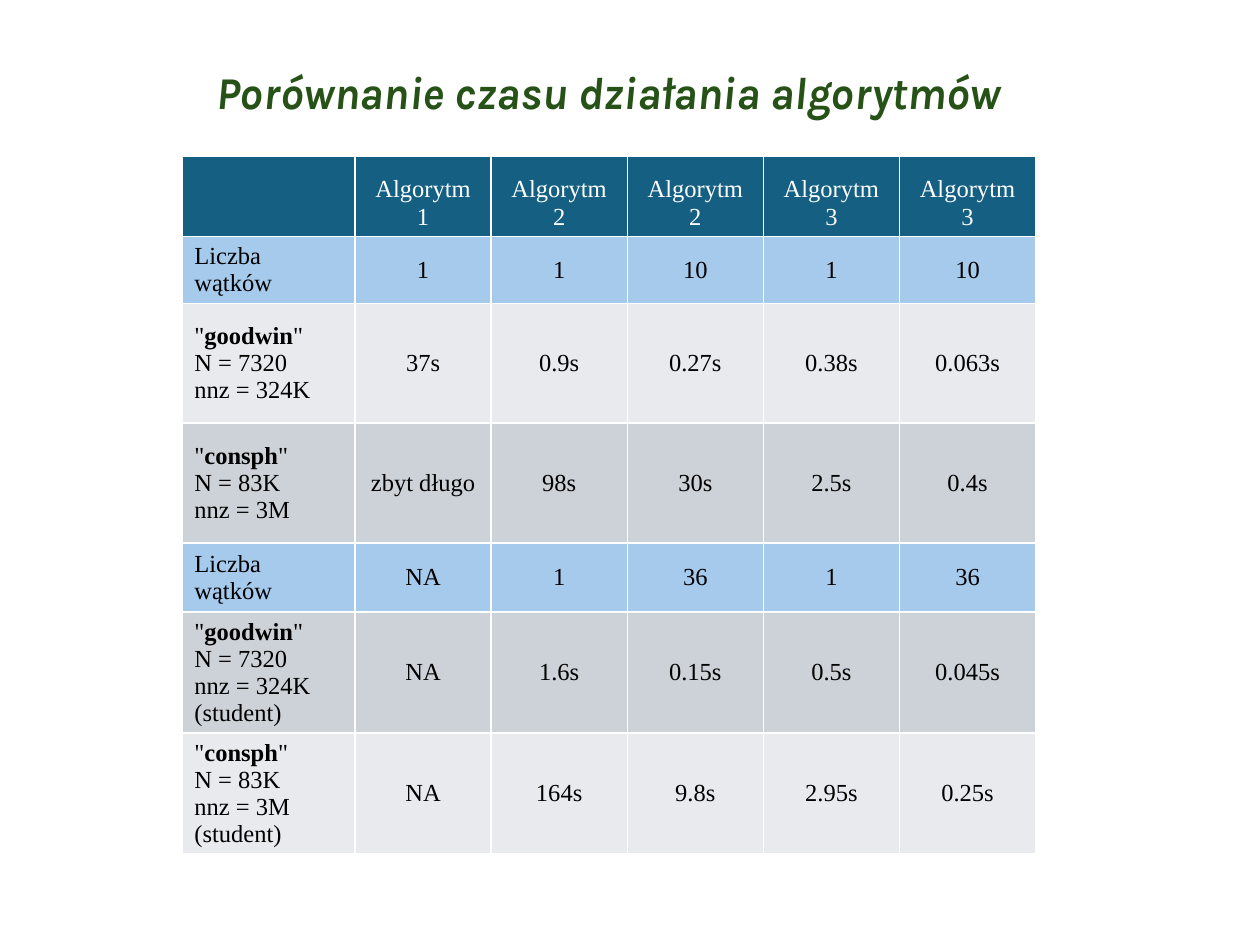
import pptx
import pptx.dml.color
import pptx.enum.text
import pptx.util

Pt = pptx.util.Pt
ALIGN = pptx.enum.text.PP_ALIGN
ANCHOR = pptx.enum.text.MSO_ANCHOR

COLOURS = {
    "title": "265217",
    "header": "156082",
    "threads": "A6CAEC",
    "light": "E8EAED",
    "dark": "CCD2D8",
    "white": "FFFFFF",
    "black": "000000",
}

GOODWIN = '"goodwin"\nN = 7320\nnnz = 324K'
CONSPH = '"consph"\nN = 83K\nnnz = 3M'
STUDENT = "\n(student)"
THREADS = "Liczba wątków"

# Row height, fill, label, values per algorithm
ROWS = [
    (46, "header", "",
     ["Algorytm 1", "Algorytm 2", "Algorytm 2", "Algorytm 3", "Algorytm 3"]),
    (37.5, "threads", THREADS, ["1", "1", "10", "1", "10"]),
    (68.5, "light", GOODWIN, ["37s", "0.9s", "0.27s", "0.38s", "0.063s"]),
    (68.5, "dark", CONSPH, ["zbyt długo", "98s", "30s", "2.5s", "0.4s"]),
    (39.5, "threads", THREADS, ["NA", "1", "36", "1", "36"]),
    (68.5, "dark", GOODWIN + STUDENT, ["NA", "1.6s", "0.15s", "0.5s", "0.045s"]),
    (68.5, "light", CONSPH + STUDENT, ["NA", "164s", "9.8s", "2.95s", "0.25s"]),
]
COLUMN_WIDTHS = [99] + [77.8] * 5


def rgb(name):
    return pptx.dml.color.RGBColor.from_string(COLOURS[name])


def write_title(slide, text):
    title = slide.shapes.title
    title.left, title.top, title.width, title.height = map(Pt, (49.7, 28.8, 596.9, 50.4))
    frame = title.text_frame
    frame.text = text
    frame.auto_size = pptx.enum.text.MSO_AUTO_SIZE.NONE
    frame.vertical_anchor = ANCHOR.MIDDLE
    paragraph = frame.paragraphs[0]
    paragraph.alignment = ALIGN.CENTER
    paragraph.line_spacing = 0.9
    font = paragraph.font
    font.name, font.size = "Karla", Pt(26)
    font.bold = font.italic = True
    font.color.rgb = rgb("title")


def write_line(paragraph, line):
    """Write one line, setting a name between quotation marks in bold."""
    for index, part in enumerate(line.split('"')):
        if index:
            paragraph.add_run().text = '"'
        if part:
            run = paragraph.add_run()
            run.text = part
            if index == 1:
                run.font.bold = True


def fill_cell(cell, text, fill, alignment):
    is_header = fill == "header"
    cell.fill.solid()
    cell.fill.fore_color.rgb = rgb(fill)
    cell.vertical_anchor = ANCHOR.BOTTOM if is_header else ANCHOR.MIDDLE
    frame = cell.text_frame
    for index, line in enumerate(text.split("\n")):
        paragraph = frame.add_paragraph() if index else frame.paragraphs[0]
        paragraph.alignment = alignment
        font = paragraph.font
        font.name, font.size, font.bold = "Times New Roman", Pt(14), False
        font.color.rgb = rgb("white" if is_header else "black")
        write_line(paragraph, line)


def add_timing_table(slide):
    height = sum(row[0] for row in ROWS)
    timings = slide.shapes.add_table(
        len(ROWS), len(COLUMN_WIDTHS),
        Pt(103.9), Pt(89.2), Pt(sum(COLUMN_WIDTHS)), Pt(height)).table
    for column, width in zip(timings.columns, COLUMN_WIDTHS):
        column.width = Pt(width)
    for row, (row_height, fill, label, values) in zip(timings.rows, ROWS):
        row.height = Pt(row_height)
        for index, (cell, text) in enumerate(zip(row.cells, [label] + values)):
            fill_cell(cell, text, fill, ALIGN.CENTER if index else ALIGN.LEFT)


def main():
    deck = pptx.Presentation()
    deck.slide_width, deck.slide_height = Pt(720), Pt(540)
    slide = deck.slides.add_slide(deck.slide_layouts.get_by_name("Title Only"))
    write_title(slide, "Porównanie czasu działania algorytmów")
    add_timing_table(slide)
    deck.save("out.pptx")


if __name__ == "__main__":
    main()
